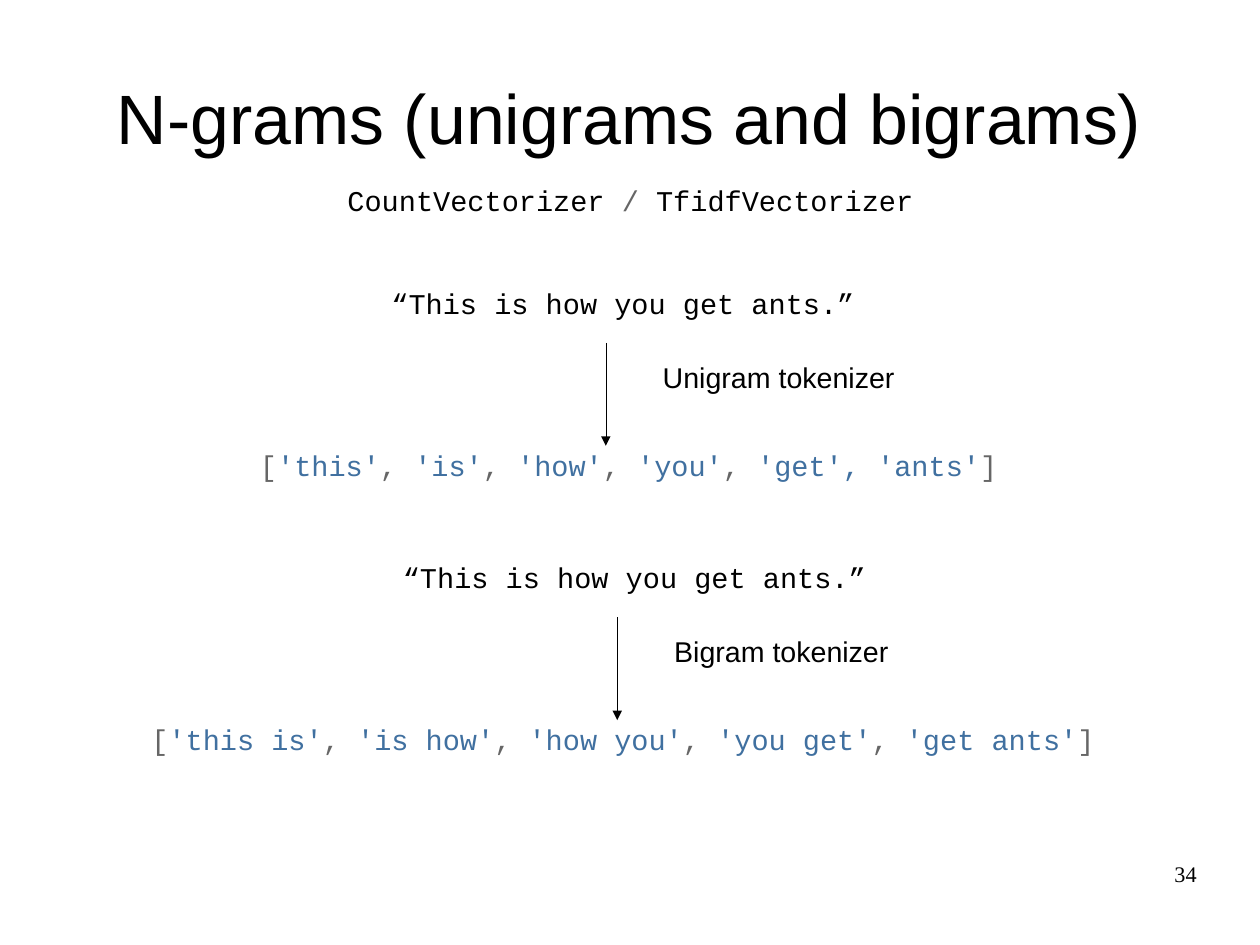
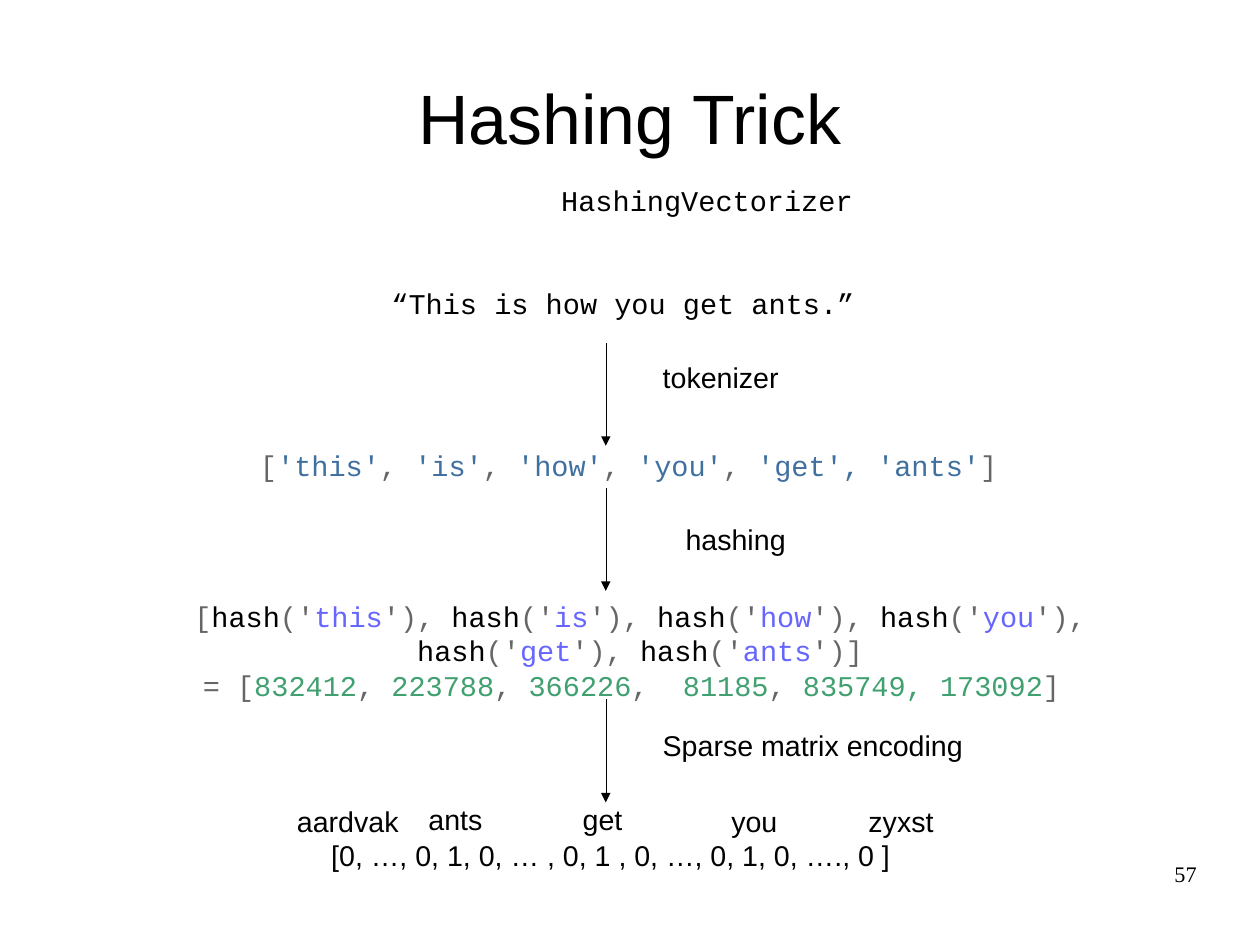
from pptx import Presentation
from pptx.dml.color import RGBColor
from pptx.enum.shapes import MSO_CONNECTOR
from pptx.enum.text import MSO_ANCHOR, MSO_AUTO_SIZE, PP_ALIGN
from pptx.oxml.ns import qn
from pptx.util import Cm, Pt
from lxml import etree

# Units and style
PX = 9144  # EMU per px, 100 px to the inch
BLACK = RGBColor(0x00, 0x00, 0x00)
GREY = RGBColor(0x66, 0x66, 0x66)
BLUE = RGBColor(0x40, 0x70, 0xA0)
VIOLET = RGBColor(0x66, 0x66, 0xFF)
GREEN = RGBColor(0x40, 0xA0, 0x70)
SANS, MONO, SERIF = "Arial", "Courier New", "Times New Roman"
LEFT, MID, RIGHT = PP_ALIGN.LEFT, PP_ALIGN.CENTER, PP_ALIGN.RIGHT
TOP, CENTRE = MSO_ANCHOR.TOP, MSO_ANCHOR.MIDDLE
FIXED = MSO_AUTO_SIZE.NONE
STRAIGHT = MSO_CONNECTOR.STRAIGHT

# Shared text
QUOTE = "“This is how you get ants.”"
WORDS = ["this", "is", "how", "you", "get", "ants"]
UNI = ["'this'", "'is'", "'how'", "'you'", "'get', 'ants'"]
BI = ["'this is'", "'is how'", "'how you'", "'you get'", "'get ants'"]


def listing(items, color, start="[", end="]"):
    """Coloured items in grey brackets, parted by grey commas."""
    runs = [(start, GREY)]
    for item in items:
        runs += [(item, color), (", ", GREY)]
    runs[-1] = (end, GREY)
    return runs


def hashes(words):
    """One hash call for each word."""
    runs = [("[", GREY)]
    for word in words:
        runs += [("hash", BLACK), ("('", GREY), (word, VIOLET), ("'), ", GREY)]
    runs[-1] = ("')]", GREY)
    return runs


class Deck:
    def __init__(self, wide, high):
        self.prs = Presentation()
        self.prs.slide_width, self.prs.slide_height = wide, high
        self.slide = None

    def page(self, title, number):
        """New slide with its title and number."""
        self.slide = self.prs.slides.add_slide(self.prs.slide_layouts[5])
        head = self.slide.shapes.title
        head.left, head.top, head.width, head.height = (
            v * PX for v in (55, 33, 992, 138))
        self.fill(head.text_frame, [[(title, BLACK)]], SANS, 44, MID, anchor=CENTRE)
        self.text(790, 753, 257, 57, [[(number, BLACK)]], SERIF, 14, RIGHT)

    def fill(self, frame, lines, font, size, align, pad=0, anchor=TOP):
        form = {
            "word_wrap": True, "auto_size": FIXED, "vertical_anchor": anchor,
            "margin_left": 2 * pad * PX, "margin_right": 2 * pad * PX,
            "margin_top": pad * PX, "margin_bottom": pad * PX,
        }
        for name, value in form.items():
            setattr(frame, name, value)
        for i, runs in enumerate(lines):
            para = frame.add_paragraph() if i else frame.paragraphs[0]
            para.alignment = align
            for words, color in runs:
                run = para.add_run()
                run.text = words
                for name, value in {"name": font, "size": Pt(size)}.items():
                    setattr(run.font, name, value)
                run.font.color.rgb = color

    def text(self, x, y, w, h, lines, font, size, align, pad=0):
        box = self.slide.shapes.add_textbox(x * PX, y * PX, w * PX, h * PX)
        self.fill(box.text_frame, lines, font, size, align, pad)

    def code(self, x, y, w, *lines):
        self.text(x, y, w, 29 * len(lines), lines, MONO, 18, MID)

    def label(self, x, y, w, words):
        self.text(x, y, w, 38, [[(words, BLACK)]], SANS, 18, LEFT, pad=5)

    def arrow(self, x, y):
        """Hairline pointing down."""
        line = self.slide.shapes.add_connector(
            STRAIGHT, x * PX, y * PX, x * PX, (y + 90) * PX)
        line.line.color.rgb = BLACK
        stroke = line._element.spPr.find(qn("a:ln"))
        stroke.set("w", "0")
        etree.SubElement(stroke, qn("a:tailEnd")).set("type", "triangle")
        etree.SubElement(line._element.spPr, qn("a:effectLst"))

    def split(self, x, y, name, items, left, wide):
        """Sentence, arrow with its label, and the tokens below."""
        self.code(x, y, 470, [(QUOTE, BLACK)])
        self.arrow(x + 220, y + 50)
        self.label(x + 260, y + 60, 290, name)
        self.code(left, y + 142, wide, listing(items, BLUE))


def main():
    deck = Deck(Cm(28), Cm(21))

    # N-grams
    deck.page("N-grams (unigrams and bigrams)", "34")
    deck.code(284, 160, 535, [("CountVectorizer ", BLACK), ("/", GREY),
                              (" TfidfVectorizer", BLACK)])
    deck.split(310, 250, "Unigram tokenizer", UNI, 210, 680)
    deck.split(320, 490, "Bigram tokenizer", BI, 110, 870)

    # Hashing: tokens
    deck.page("Hashing Trick", "57")
    deck.code(351, 160, 535, [("HashingVectorizer", BLACK)])
    deck.split(310, 250, "tokenizer", UNI, 210, 680)

    # Hashing: numbers
    deck.arrow(530, 427)
    deck.label(590, 452, 470, "hashing")
    codes = ["832412", "223788", "366226", " 81185", "835749, 173092"]
    deck.code(100, 524, 920, hashes(WORDS), listing(codes, GREEN, "= [", "] "))

    # Hashing: sparse vector
    deck.arrow(530, 612)
    deck.label(570, 632, 310, "Sparse matrix encoding")
    for x, y, word in [(250, 698, "aardvak"), (365, 697, "ants"), (500, 697, "get"),
                       (630, 698, "you"), (750, 698, "zyxst")]:
        deck.label(x, y, 110, word)
    deck.label(280, 728, 520, "[0, …, 0, 1, 0, … , 0, 1 , 0, …, 0, 1, 0, …., 0 ]")

    deck.prs.save("out.pptx")


if __name__ == "__main__":
    main()
